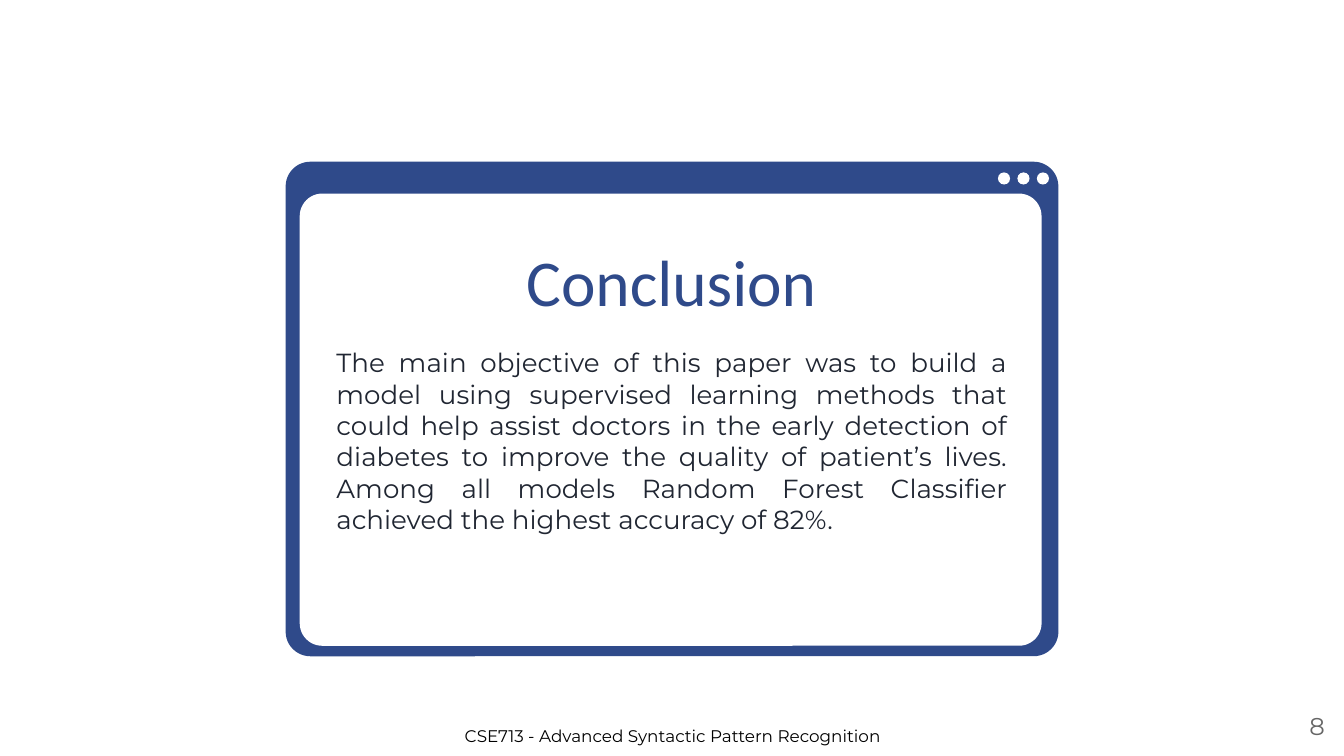
"""Build the Conclusion slide: a browser-style window with a title and a summary."""
from pptx import Presentation, util as u
from pptx.dml import color
from pptx.enum import shapes, text

BLUE, WHITE = "2F4A8A", "FFFFFF"
SHAPE = shapes.MSO_SHAPE
ALIGN = text.PP_ALIGN
ANCHOR = text.MSO_ANCHOR

prs = Presentation()
prs.slide_width = u.Inches(10)
prs.slide_height = prs.slide_width * 9 // 16
col = prs.slide_width // 1000
s = prs.slides.add_slide(prs.slide_layouts[6])


def rgb(value):
    return color.RGBColor.from_string(value)


def add_text(content, box, size, fill, font="Montserrat", align=ALIGN.LEFT,
             anchor=ANCHOR.TOP):
    tf = s.shapes.add_textbox(*(round(n * col) for n in box)).text_frame
    tf.word_wrap = True
    tf.vertical_anchor = anchor
    tf.margin_left = tf.margin_right = tf.margin_top = tf.margin_bottom = 10 * col
    p = tf.paragraphs[0]
    p.alignment = align
    r = p.add_run()
    r.text = content
    r.font.name, r.font.size = font, u.Pt(size)
    r.font.color.rgb = rgb(fill)


add_text("CSE713 - Advanced Syntactic Pattern Recognition",
         (336, 532.5, 374, 35), 9, "000000")

dot, pitch = 9, 14.5
window = [
    (SHAPE.ROUNDED_RECTANGLE, (212.5, 120.3, 575, 368), BLUE, 0.05),
    (SHAPE.ROUNDED_RECTANGLE, (223, 144, 552, 336.5), WHITE, 0.05),
]
window += [(SHAPE.OVAL, (771.5 - i * pitch, 128.3, dot, dot), WHITE, None) for i in range(3)]
for kind, box, fill, corner in window:
    sp = s.shapes.add_shape(kind, *(round(n * col) for n in box))
    sp.shadow.inherit = False
    sp.fill.solid()
    sp.fill.fore_color.rgb = rgb(fill)
    sp.line.fill.background()
    if corner:
        sp.adjustments[0] = corner

add_text("Conclusion", (267.5, 155, 464, 93), 35, BLUE, font="Calibri",
         align=ALIGN.CENTER, anchor=ANCHOR.BOTTOM)
add_text("The main objective of this paper was to build a model using supervised "
         "learning methods that could help assist doctors in the early detection of "
         "diabetes to improve the quality of patient’s lives. Among all models Random "
         "Forest Classifier achieved the highest accuracy of 82%.",
         (240.5, 248, 519, 240), 14, "202632", align=ALIGN.JUSTIFY)
add_text("8", (935.5, 519.5, 60, 43), 13, "666666", align=ALIGN.RIGHT)

prs.save("out.pptx")
